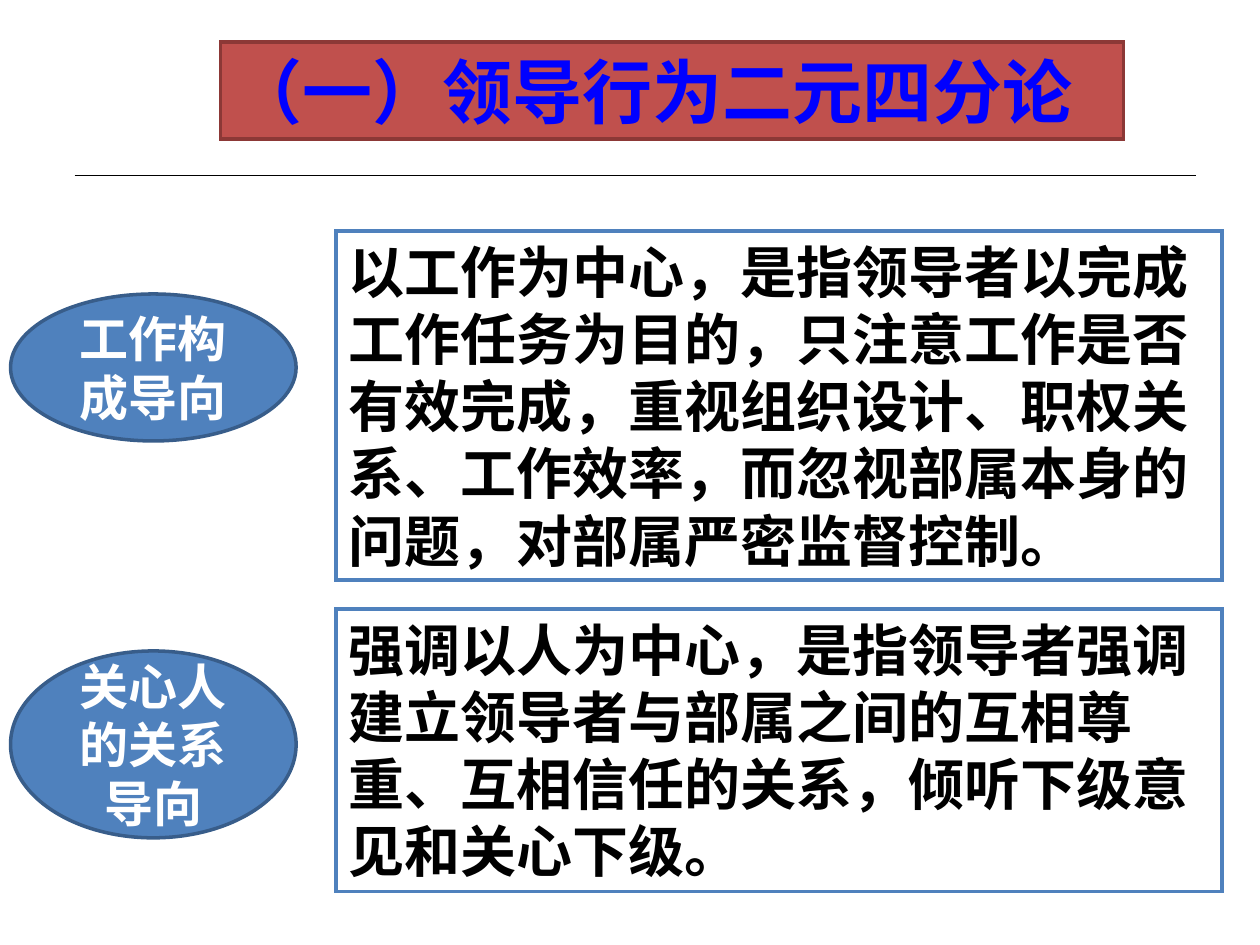
"""Build a slide on the two dimensions of leadership behaviour."""
from dataclasses import dataclass

from lxml import etree
from pptx import Presentation
from pptx.dml.color import RGBColor
from pptx.enum.shapes import MSO_CONNECTOR, MSO_SHAPE
from pptx.enum.text import MSO_ANCHOR, MSO_AUTO_SIZE, PP_ALIGN
from pptx.oxml.ns import qn
from pptx.util import Inches, Length, Pt

RECTANGLE, OVAL = MSO_SHAPE.RECTANGLE, MSO_SHAPE.OVAL
STRAIGHT = MSO_CONNECTOR.STRAIGHT
TOP, MIDDLE = MSO_ANCHOR.TOP, MSO_ANCHOR.MIDDLE
LEFT, CENTER = PP_ALIGN.LEFT, PP_ALIGN.CENTER
FIT_SHAPE, NO_FIT = MSO_AUTO_SIZE.SHAPE_TO_FIT_TEXT, MSO_AUTO_SIZE.NONE

FONT = "Arial"
UNITS_PER_INCH = 12
COLORS = {
    "red": "C0504D",
    "dark_red": "8C3836",
    "blue": "4F81BD",
    "dark_blue": "385D8A",
    "title": "0000FF",
    "black": "000000",
    "white": "FFFFFF",
}


@dataclass(frozen=True)
class Style:
    geometry: MSO_SHAPE
    fill: str
    line: str
    text: str
    size: int
    anchor: MSO_ANCHOR = TOP
    alignment: PP_ALIGN = LEFT
    auto_size: MSO_AUTO_SIZE = FIT_SHAPE


@dataclass(frozen=True)
class Box:
    text: str
    style: Style
    column: float
    row: float
    columns: float
    rows: float


TITLE = Style(RECTANGLE, "red", "dark_red", "title", 40)
DESCRIPTION = Style(RECTANGLE, "white", "blue", "black", 32)
ORIENTATION = Style(OVAL, "blue", "dark_blue", "white", 28, MIDDLE, CENTER, NO_FIT)

BOXES = [
    Box("（一）领导行为二元四分论", TITLE, 21, 4, 86, 9.25),
    Box(
        "以工作为中心，是指领导者以完成工作任务为目的，只注意工作是否有效完成，"
        "重视组织设计、职权关系、工作效率，而忽视部属本身的问题，对部属严密监督控制。",
        DESCRIPTION, 32, 22, 84.4, 33.25,
    ),
    Box(
        "强调以人为中心，是指领导者强调建立领导者与部属之间的互相尊重、"
        "互相信任的关系，倾听下级意见和关心下级。",
        DESCRIPTION, 32, 58, 84.4, 26.9,
    ),
    Box("工作构成导向", ORIENTATION, 1, 28, 27.2, 14),
    Box("关心人的关系导向", ORIENTATION, 1, 62, 27.2, 17.8),
]


def grid(units: float) -> Length:
    return Inches(units / UNITS_PER_INCH)


def color(name: str) -> RGBColor:
    return RGBColor.from_string(COLORS[name])


def draw_box(slide, box: Box) -> None:
    style = box.style
    shape = slide.shapes.add_shape(
        style.geometry, grid(box.column), grid(box.row), grid(box.columns), grid(box.rows)
    )
    shape.shadow.inherit = False
    shape.fill.solid()
    shape.fill.fore_color.rgb = color(style.fill)
    shape.line.color.rgb = color(style.line)
    shape.line.width = Pt(2)
    outline = shape._element.spPr.find(qn("a:ln"))
    etree.SubElement(outline, qn("a:miter"), lim="800000")

    text_frame = shape.text_frame
    text_frame.text = box.text
    text_frame.word_wrap = True
    text_frame.auto_size = style.auto_size
    text_frame.vertical_anchor = style.anchor
    paragraph = text_frame.paragraphs[0]
    paragraph.alignment = style.alignment
    paragraph._p.get_or_add_pPr().set("hangingPunct", "0")
    font = paragraph.runs[0].font
    font.name = FONT
    font.size = Pt(style.size)
    font.bold = True
    font.color.rgb = color(style.text)


def draw_rule(slide, start: float, end: float, row: float) -> None:
    rule = slide.shapes.add_connector(STRAIGHT, grid(start), grid(row), grid(end), grid(row))
    rule.line.color.rgb = color("black")
    rule.line.width = Pt(0.75)
    etree.SubElement(rule._element.spPr, qn("a:effectLst"))


def main() -> None:
    presentation = Presentation()
    presentation.slide_width, presentation.slide_height = Inches(10), Inches(7.5)
    slide = presentation.slides.add_slide(presentation.slide_layouts[6])
    draw_rule(slide, 7.1, 113.9, 16.7)
    for box in BOXES:
        draw_box(slide, box)
    presentation.save("out.pptx")


if __name__ == "__main__":
    main()
